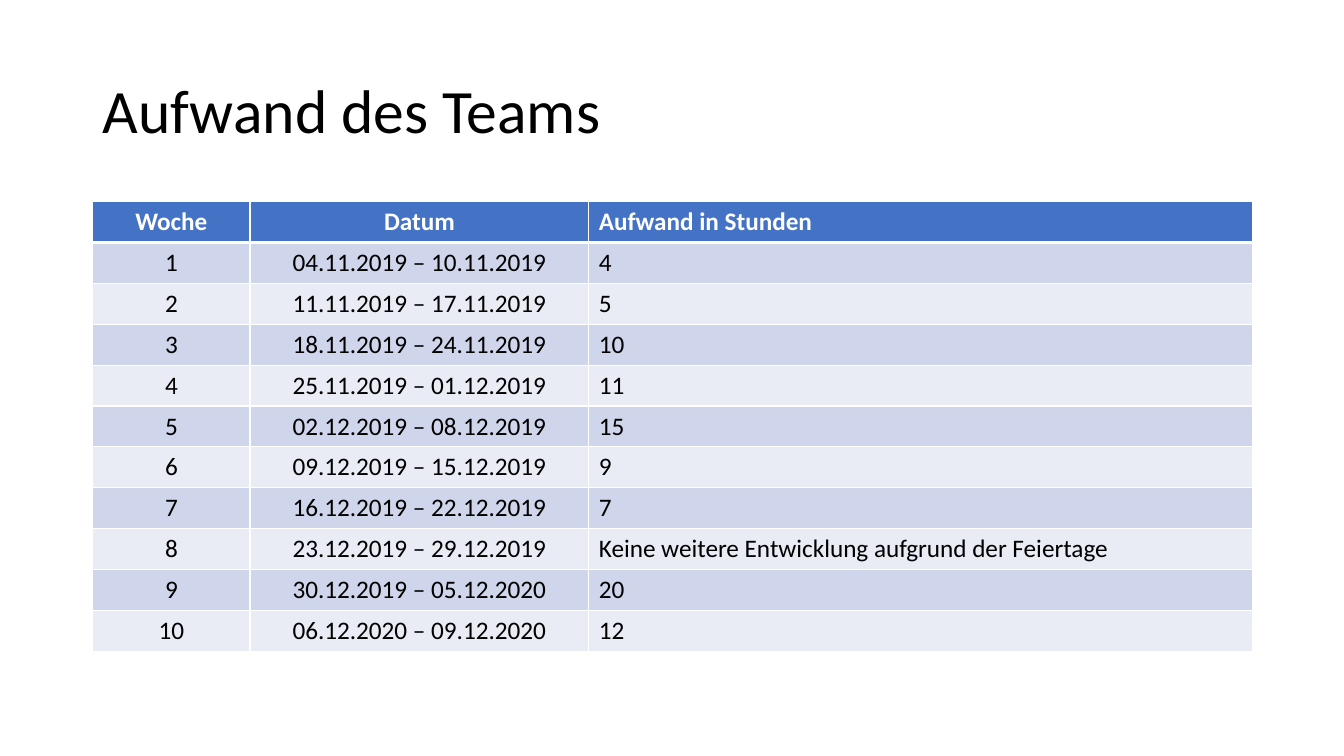
from lxml.etree import SubElement
from pptx import Presentation
from pptx.dml.color import RGBColor
from pptx.enum.text import MSO_ANCHOR, PP_ALIGN
from pptx.oxml.ns import qn
from pptx.util import Inches, Pt

BLACK = RGBColor(0x00, 0x00, 0x00)
WHITE = RGBColor(0xFF, 0xFF, 0xFF)
HEADER_BLUE = RGBColor(0x44, 0x72, 0xC4)
BAND_DARK = RGBColor(0xCF, 0xD5, 0xEA)
BAND_LIGHT = RGBColor(0xE9, 0xEB, 0xF5)
FONT = "Calibri"
LEFT, WIDTH = Inches(0.92), Inches(11.5)

HEADER = ("Woche", "Datum", "Aufwand in Stunden")
WEEKS = [
    ("04.11.2019 – 10.11.2019", "4"),
    ("11.11.2019 – 17.11.2019", "5"),
    ("18.11.2019 – 24.11.2019", "10"),
    ("25.11.2019 – 01.12.2019", "11"),
    ("02.12.2019 – 08.12.2019", "15"),
    ("09.12.2019 – 15.12.2019", "9"),
    ("16.12.2019 – 22.12.2019", "7"),
    ("23.12.2019 – 29.12.2019", "Keine weitere Entwicklung aufgrund der Feiertage"),
    ("30.12.2019 – 05.12.2020", "20"),
    ("06.12.2020 – 09.12.2020", "12"),
]
COLUMN_WIDTHS = (1.56, 3.36, 6.58)
ALIGNMENTS = (PP_ALIGN.CENTER, PP_ALIGN.CENTER, PP_ALIGN.LEFT)


def set_font(paragraph, size, color, bold=False):
    """Set the typeface, size, colour and weight of a paragraph."""
    font = paragraph.font
    font.name, font.size, font.bold = FONT, Pt(size), bold
    font.color.rgb = color


def add_borders(cell, top, bottom):
    """Draw white cell borders; top and bottom are widths in points."""
    properties = cell._tc.get_or_add_tcPr()
    for side, width in (("L", 1), ("R", 1), ("T", top), ("B", bottom)):
        line = SubElement(properties, qn(f"a:ln{side}"), w=str(Pt(width)))
        fill = SubElement(line, qn("a:solidFill"))
        SubElement(fill, qn("a:srgbClr"), val=str(WHITE))


presentation = Presentation()
presentation.slide_width = Inches(13.33)
presentation.slide_height = Inches(7.5)
slide = presentation.slides.add_slide(presentation.slide_layouts[5])

title = slide.shapes.title
title.left, title.top = LEFT, Inches(0.4)
title.width, title.height = WIDTH, Inches(1.45)
title.text_frame.text = "Aufwand des Teams"
title.text_frame.vertical_anchor = MSO_ANCHOR.MIDDLE
heading = title.text_frame.paragraphs[0]
heading.alignment = PP_ALIGN.LEFT
heading.line_spacing = 0.9
set_font(heading, 44, BLACK)

rows = [HEADER] + [(str(week), *entry) for week, entry in enumerate(WEEKS, 1)]
effort = slide.shapes.add_table(
    len(rows), len(HEADER), LEFT, Inches(2), WIDTH, Inches(4.46)
).table
for column, width in zip(effort.columns, COLUMN_WIDTHS):
    column.width = Inches(width)

for row_index, row in enumerate(rows):
    is_header = row_index == 0
    if is_header:
        background = HEADER_BLUE
    else:
        background = BAND_DARK if row_index % 2 else BAND_LIGHT
    for column_index, (text, alignment) in enumerate(zip(row, ALIGNMENTS)):
        cell = effort.cell(row_index, column_index)
        cell.text = text
        add_borders(cell, 3 if row_index == 1 else 1, 3 if is_header else 1)
        cell.fill.solid()
        cell.fill.fore_color.rgb = background
        paragraph = cell.text_frame.paragraphs[0]
        paragraph.alignment = alignment
        set_font(paragraph, 18, WHITE if is_header else BLACK, is_header)

presentation.save("out.pptx")
